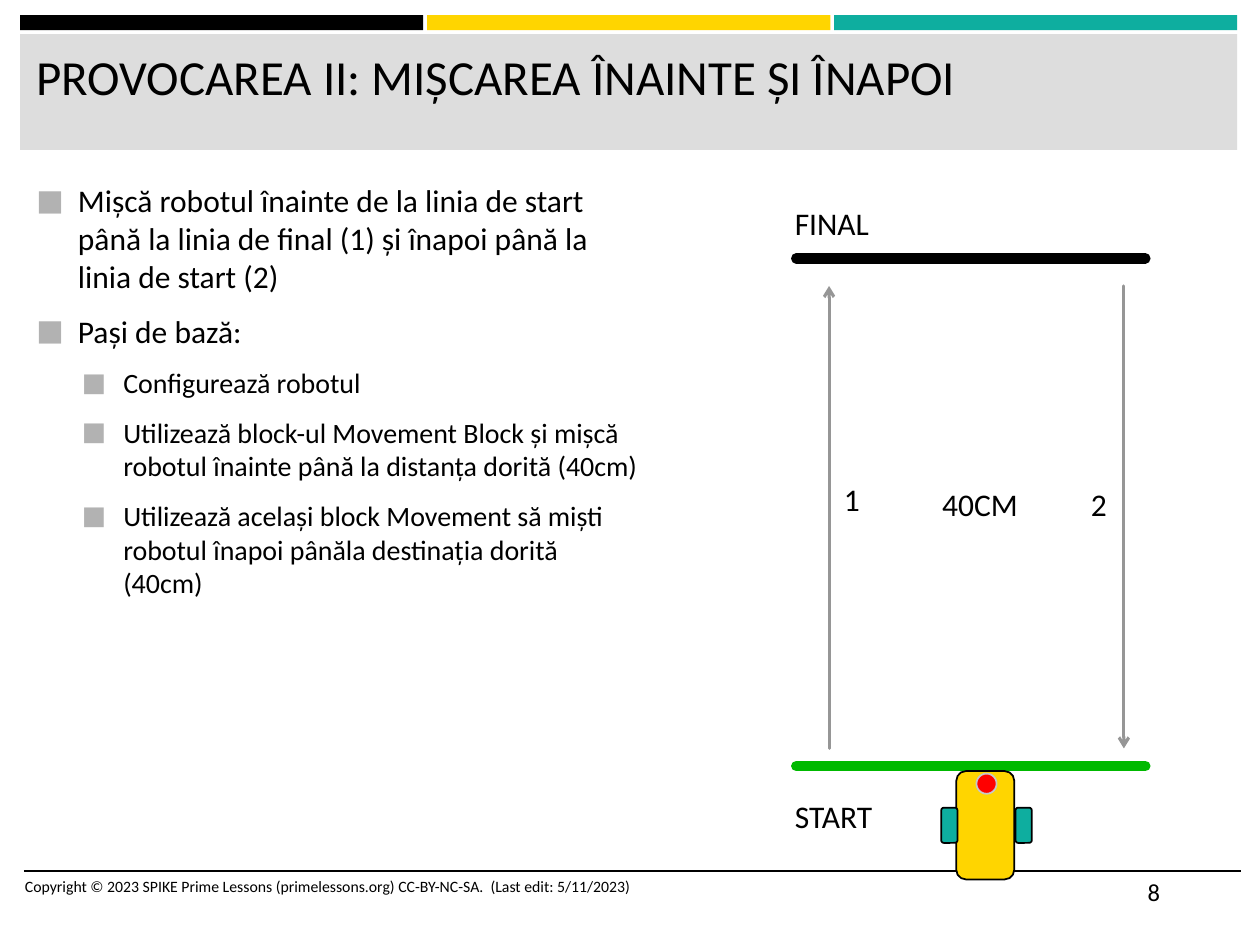
"""Builds the slide of the forward-and-back robot challenge."""
from lxml.etree import SubElement
from pptx import Presentation
from pptx.dml.color import RGBColor
from pptx.enum.shapes import MSO_CONNECTOR as Link, MSO_SHAPE as Shape
from pptx.enum.text import MSO_ANCHOR as Anchor, MSO_AUTO_SIZE as Fit, PP_ALIGN as Align
from pptx.oxml.ns import qn
from pptx.util import Inches, Pt

COLORS = {"black": "000000", "yellow": "FFD500", "teal": "0EAE9F", "band": "DDDDDD",
          "green": "00B900", "arrow": "969696", "bullet": "B2B2B2", "red": "FF0000",
          "rim": "C7C7C7"}
COLUMNS, ROWS = 100, 75
TASKS = [
    (0, "Mișcă robotul înainte de la linia de start până la linia de final (1) "
        "și înapoi până la linia de start (2)"),
    (0, "Pași de bază:"),
    (1, "Configurează robotul"),
    (1, "Utilizează block-ul Movement Block și mișcă robotul înainte până la "
        "distanța dorită (40cm)"),
    (1, "Utilizează același block Movement să miști robotul înapoi pânăla "
        "destinația dorită (40cm)"),
]


def color(name):
    return RGBColor.from_string(COLORS[name])


def write(paragraph, text, size=18, ink="black", font="Calibri"):
    paragraph.text = text
    paragraph.alignment = Align.LEFT
    paragraph.font.size = Pt(size)
    paragraph.font.name = font
    paragraph.font.color.rgb = color(ink)


class Lesson:
    def __init__(self):
        self.deck = Presentation()
        self.deck.slide_width, self.deck.slide_height = Inches(10), Inches(7.5)
        self.slide = self.deck.slides.add_slide(self.deck.slide_layouts[5])

    def grid(self, *lengths):
        steps = (self.deck.slide_width / COLUMNS, self.deck.slide_height / ROWS)
        return [round(length * steps[i % 2]) for i, length in enumerate(lengths)]

    def block(self, kind, box, fill, rim=None, parent=None):
        shape = (parent or self.slide).shapes.add_shape(kind, *self.grid(*box))
        shape.shadow.inherit = False
        shape.fill.solid()
        shape.fill.fore_color.rgb = color(fill)
        if rim:
            shape.line.color.rgb = color(rim)
            shape.line.width = Pt(1)
        else:
            shape.line.fill.background()

    def line(self, start, end, ink, width, cap="rnd", arrow=False):
        link = self.slide.shapes.add_connector(Link.STRAIGHT, *self.grid(*start, *end))
        link.line.color.rgb = color(ink)
        link.line.width = Pt(width)
        stroke = link.line._get_or_add_ln()
        stroke.set("cap", cap)
        if arrow:
            SubElement(stroke, qn("a:tailEnd"), type="arrow")
        SubElement(link._element.spPr, qn("a:effectLst"))

    def title(self, text, box):
        heading = self.slide.shapes.title
        heading.left, heading.top, heading.width, heading.height = self.grid(*box)
        frame = heading.text_frame
        frame.auto_size, frame.vertical_anchor = Fit.NONE, Anchor.TOP
        write(frame.paragraphs[0], text, size=28)
        self.slide.shapes._spTree.append(heading._element)

    def label(self, text, box, wrap=True, fit=Fit.SHAPE_TO_FIT_TEXT, **style):
        frame = self.slide.shapes.add_textbox(*self.grid(*box)).text_frame
        frame.word_wrap, frame.auto_size = wrap, fit
        write(frame.paragraphs[0], text, **style)

    def bullets(self, items, box):
        frame = self.slide.shapes.add_textbox(*self.grid(*box)).text_frame
        frame.word_wrap = True
        for i, (level, text) in enumerate(items):
            paragraph = frame.add_paragraph() if i else frame.paragraphs[0]
            size = 18 - 2 * level
            paragraph.level = level
            props = paragraph._p.get_or_add_pPr()
            props.set("marL", str(Inches(0.33 + 0.36 * level)))
            props.set("indent", str(Inches(-0.33)))
            tint = SubElement(props, qn("a:buClr"))
            SubElement(tint, qn("a:srgbClr"), val=COLORS["bullet"])
            SubElement(props, qn("a:buSzPct"), val="92000")
            SubElement(props, qn("a:buFont"), typeface="Calibri")
            SubElement(props, qn("a:buChar"), char="■")
            write(paragraph, text, size=size)
            paragraph.space_after = Pt(6)
            if i:
                paragraph.space_before = Pt(0.2 * size)

    def robot(self):
        group = self.slide.shapes.add_group_shape()
        self.block(Shape.ROUNDED_RECTANGLE, (75.9, 61.2, 4.6, 8.6), "yellow", "black", group)
        for left in (80.6, 74.7):
            self.block(Shape.ROUNDED_RECTANGLE, (left, 64.1, 1.3, 2.8), "teal", "black", group)
        self.block(Shape.OVAL, (77.5, 61.4, 1.6, 1.6), "red", "rim", group)


def main():
    lesson = Lesson()
    for i, stripe in enumerate(("black", "yellow", "teal")):
        lesson.block(Shape.RECTANGLE, (1.6 + 32.3 * i, 1.2, 32, 1.2), stripe)
    lesson.block(Shape.RECTANGLE, (1.6, 2.7, 96.6, 9.2), "band")
    lesson.line((1.9, 69.1), (98.5, 69.1), "black", 1, cap="flat")
    lesson.title("PROVOCAREA II: MIȘCAREA ÎNAINTE ȘI ÎNAPOI", (1.9, 3.2, 95.7, 8.2))
    lesson.bullets(TASKS, (1.9, 13.9, 49.8, 47.8))
    lesson.label("Copyright © 2023 SPIKE Prime Lessons (primelessons.org) CC-BY-NC-SA.  "
                 "(Last edit: 5/11/2023)", (1, 69.1, 53.3, 4), fit=Fit.NONE, size=9)
    lesson.label("8", (90.1, 69.1, 8.4, 4), fit=Fit.NONE, size=14)

    for row, ink in ((20.5, "black"), (60.8, "green")):
        lesson.line((90.9, row), (63.2, row), ink, 6)
    far, near = 22.7, 59.4
    lesson.line((65.8, near), (65.8, far), "arrow", 1.75, arrow=True)
    lesson.line((89.2, far), (89.2, near), "arrow", 1.75, arrow=True)
    lesson.label("1", (66, 37.6, 3.4, 4))
    lesson.label("2", (85.6, 38, 3.4, 4))
    lesson.label("FINAL", (62.1, 15.7, 8.7, 4), wrap=False)
    lesson.label("START", (62.1, 62.8, 10, 4), wrap=False)
    lesson.robot()
    lesson.label("40CM", (73.8, 38, 9, 4))
    lesson.deck.save("out.pptx")


if __name__ == "__main__":
    main()
